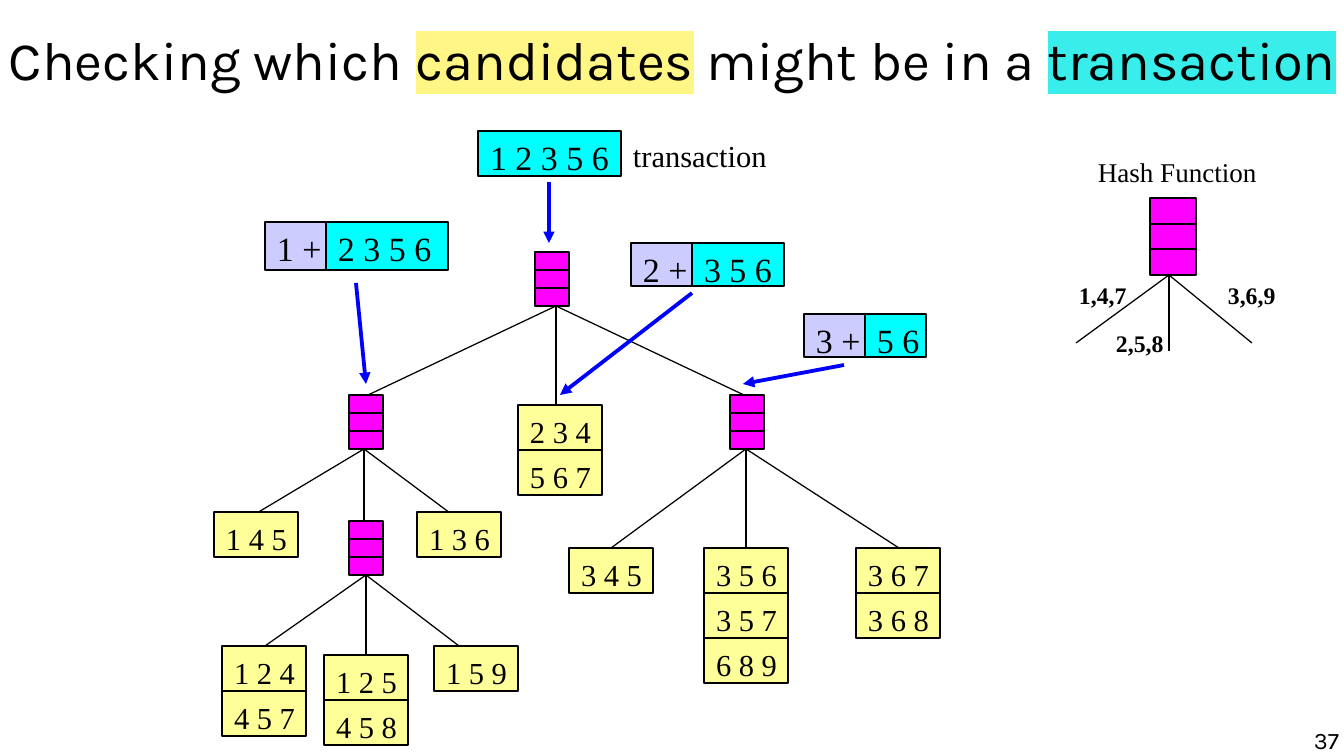
from lxml.etree import SubElement
from pptx import Presentation
from pptx.dml.color import RGBColor
from pptx.enum.shapes import MSO_CONNECTOR, MSO_SHAPE
from pptx.enum.text import MSO_ANCHOR, PP_ALIGN
from pptx.oxml.ns import qn
from pptx.util import Pt

PX = 7495
BLACK = RGBColor(0x00, 0x00, 0x00)
BLUE = RGBColor(0x00, 0x00, 0xFF)
CYAN = RGBColor(0x00, 0xFF, 0xFF)
LILAC = RGBColor(0xCC, 0xCC, 0xFF)
MAGENTA = RGBColor(0xFF, 0x00, 0xFF)
CREAM = RGBColor(0xFF, 0xFF, 0x99)
YELLOW_MARK = RGBColor(0xFF, 0xF6, 0x85)
TEAL_MARK = RGBColor(0x39, 0xED, 0xEA)
SANS, SERIF = "Karla", "Times New Roman"
LEAF_W, LEAF_H = 84, 45

TITLE = [
    ("Checking which ", None),
    ("candidates", YELLOW_MARK),
    (" might be in a ", None),
    ("transaction", TEAL_MARK),
]
BRANCHES = [
    ((556, 306), [(366, 396), (556, 405), (746, 396)]),
    ((364, 449), [(257, 513), (364, 521), (450, 513)]),
    ((746, 449), [(611, 548), (746, 548), (899, 548)]),
    ((366, 575), [(265, 646), (366, 655), (459, 646)]),
    ((1169, 275), [(1076, 343), (1169, 351), (1252, 343)]),
]
NODES = [
    (535, 252, 34, 54),
    (349, 395, 34, 54),
    (730, 395, 34, 54),
    (349, 521, 34, 54),
    (1150, 198, 46, 77),
]
LEAVES = [
    (214, 512, ["1 4 5"]),
    (417, 512, ["1 3 6"]),
    (222, 646, ["1 2 4", "4 5 7"]),
    (324, 655, ["1 2 5", "4 5 8"]),
    (434, 646, ["1 5 9"]),
    (518, 405, ["2 3 4", "5 6 7"]),
    (569, 548, ["3 4 5"]),
    (704, 548, ["3 5 6", "3 5 7", "6 8 9"]),
    (856, 548, ["3 6 7", "3 6 8"]),
]
SPLITS = [
    (265, 222, 48, "1 +", "2 3 5 6", 122),
    (631, 243, 43, "2 +", "3 5 6", 92),
    (804, 314, 43, "3 +", "5 6", 61),
]
ARROWS = [
    ((549, 182), (549, 243)),
    ((356, 283), (366, 384)),
    ((692, 293), (560, 395)),
    ((844, 365), (743, 384)),
]
LABELS = [
    (621, 131, 180, 49, "transaction", 18, False),
    (1086, 149, 200, 45, "Hash Function", 16, False),
    (1067, 275, 80, 40, "1,4,7", 14, True),
    (1104, 323, 80, 40, "2,5,8", 14, True),
    (1216, 275, 80, 40, "3,6,9", 14, True),
]


def emu(*lengths):
    return [n * PX for n in lengths]


def style_run(r, size, name, bold=False):
    r.font.size = Pt(size)
    r.font.name = name
    r.font.bold = bold
    r.font.color.rgb = BLACK


def set_insets(tf, left, top, right, bottom):
    tf.margin_left, tf.margin_top, tf.margin_right, tf.margin_bottom = emu(left, top, right, bottom)


def highlight(r, color):
    rPr = r._r.get_or_add_rPr()
    el = SubElement(rPr, qn("a:highlight"))
    SubElement(el, qn("a:srgbClr")).set("val", str(color))
    rPr.find(qn("a:solidFill")).addnext(el)


def add_title(s):
    sp = s.shapes.title
    sp.left, sp.top, sp.width, sp.height = emu(6, -15, 1333, 148)
    tf = sp.text_frame
    tf.word_wrap = True
    tf.vertical_anchor = MSO_ANCHOR.MIDDLE
    set_insets(tf, 0, 0, 0, 0)
    p = tf.paragraphs[0]
    p.alignment = PP_ALIGN.CENTER
    for text, mark in TITLE:
        r = p.add_run()
        r.text = text
        style_run(r, 32, SANS)
        if mark is not None:
            highlight(r, mark)


def add_line(s, start, end, color=BLACK, width=0.75, arrow=False):
    cn = s.shapes.add_connector(MSO_CONNECTOR.STRAIGHT, *emu(*start, *end))
    cn.line.color.rgb = color
    cn.line.width = Pt(width)
    if arrow:
        SubElement(cn.line._get_or_add_ln(), qn("a:tailEnd")).set("type", "triangle")
    SubElement(cn._element.spPr, qn("a:effectLst"))


def add_box(s, x, y, w, h, fill):
    sp = s.shapes.add_shape(MSO_SHAPE.RECTANGLE, *emu(x, y, w, h))
    sp.shadow.inherit = False
    sp.fill.solid()
    sp.fill.fore_color.rgb = fill
    sp.line.color.rgb = BLACK
    sp.line.width = Pt(0.75)
    return sp


def add_text_box(s, x, y, w, h, fill, text, size, top=6):
    tf = add_box(s, x, y, w, h, fill).text_frame
    tf.word_wrap = False
    tf.vertical_anchor = MSO_ANCHOR.TOP
    set_insets(tf, 12, top, 0, 0)
    p = tf.paragraphs[0]
    p.text = text
    p.alignment = PP_ALIGN.LEFT
    style_run(p.runs[0], size, SERIF)


def add_node(s, x, y, w, h):
    add_box(s, x, y, w, h, MAGENTA)
    for i in (1, 2):
        row = y + round(h * i / 3)
        add_line(s, (x, row), (x + w, row))


def add_label(s, x, y, w, h, text, size, bold):
    tf = s.shapes.add_textbox(*emu(x, y, w, h)).text_frame
    tf.word_wrap = True
    set_insets(tf, 12, 6, 12, 6)
    tf.text = text
    style_run(tf.paragraphs[0].runs[0], size, SERIF, bold)


def add_page_number(s):
    tf = s.shapes.add_textbox(*emu(1027, 726, 312, 30)).text_frame
    tf.word_wrap = True
    set_insets(tf, 0, 0, 0, 0)
    p = tf.paragraphs[0]
    p.text = "37"
    p.alignment = PP_ALIGN.RIGHT
    style_run(p.runs[0], 14, SANS)


def main():
    prs = Presentation()
    prs.slide_width, prs.slide_height = emu(1344, 756)
    s = prs.slides.add_slide(prs.slide_layouts[5])
    add_title(s)
    for parent, children in BRANCHES:
        for child in children:
            add_line(s, parent, child)
    for node in NODES:
        add_node(s, *node)
    for x, y, itemsets in LEAVES:
        for i, items in enumerate(itemsets):
            add_text_box(s, x, y + i * LEAF_H, LEAF_W, LEAF_H, CREAM, items, 18, 8)
    add_text_box(s, 478, 131, 143, 45, CYAN, "1 2 3 5 6", 20)
    for x, y, h, prefix, rest, rest_w in SPLITS:
        add_text_box(s, x, y, 61, h, LILAC, prefix, 20)
        add_text_box(s, x + 61, y, rest_w, h, CYAN, rest, 20)
    for start, end in ARROWS:
        add_line(s, start, end, BLUE, 2.25, True)
    for label in LABELS:
        add_label(s, *label)
    add_page_number(s)
    prs.save("out.pptx")


if __name__ == "__main__":
    main()
